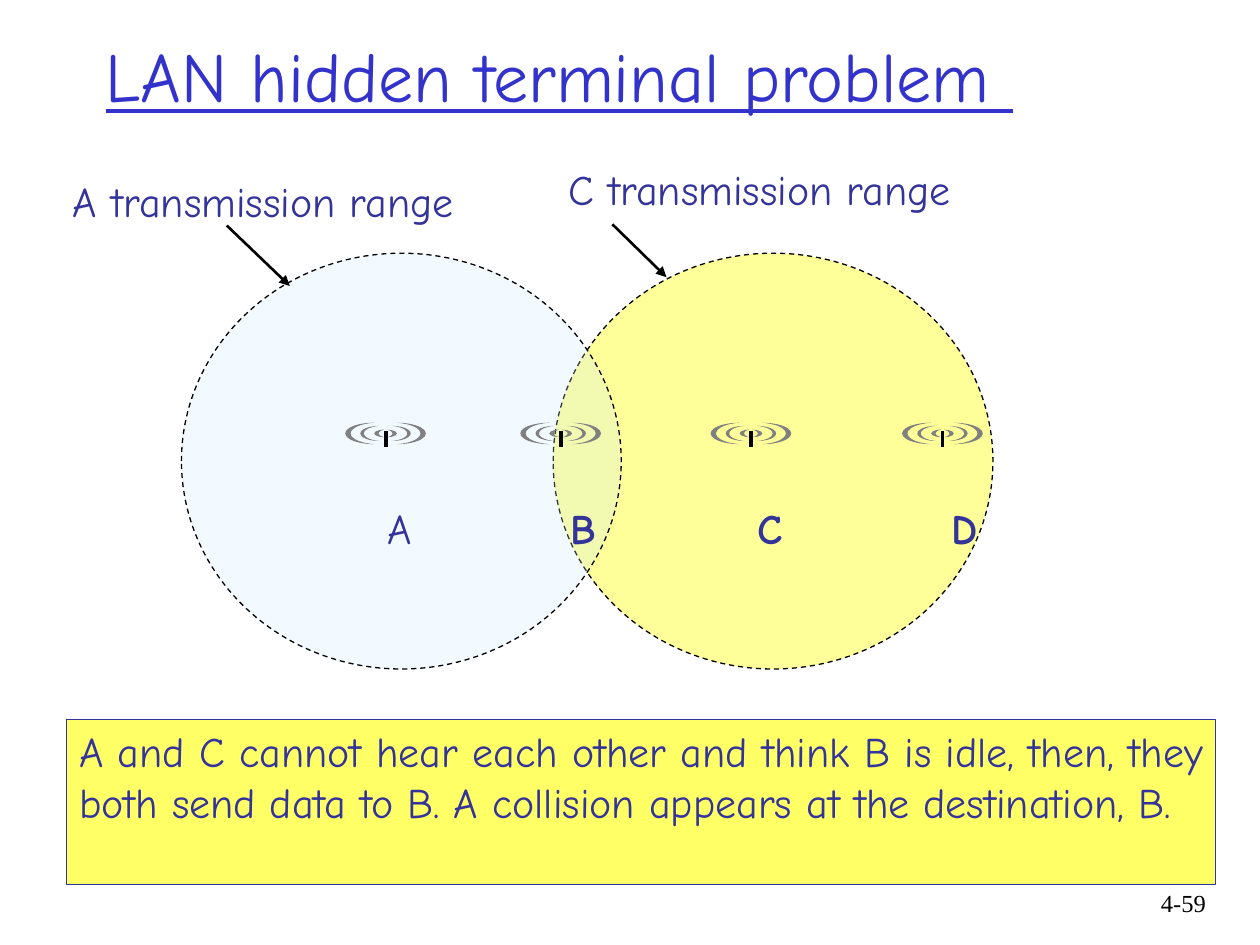
from pptx import Presentation
from pptx.dml.color import RGBColor
from pptx.enum.dml import MSO_LINE
from pptx.enum.shapes import MSO_CONNECTOR, MSO_SHAPE
from pptx.enum.text import MSO_ANCHOR, PP_ALIGN
from pptx.oxml.ns import qn
from pptx.util import Inches, Pt
from lxml.etree import SubElement

BLACK = RGBColor(0x00, 0x00, 0x00)
GRAY = RGBColor(0x80, 0x80, 0x80)
TITLE_BLUE = RGBColor(0x33, 0x33, 0xCC)
TEXT_BLUE = RGBColor(0x33, 0x33, 0x99)
NOTE_YELLOW = RGBColor(0xFF, 0xFF, 0x66)
RANGE_YELLOW = RGBColor(0xFF, 0xFF, 0x99)
RANGE_BLUE = RGBColor(0xCC, 0xEC, 0xFF)


class SlideBuilder:
    body_font = {"name": "Comic Neue", "size": Pt(24)}
    waves = [(0.09, 0.23, 0.17, 0.184), (0.05, 0.15, 0.12, 0.183), (0.01, 0.08, 0.06, 0.419)]

    def __init__(self, slide):
        self.slide = slide

    def fill_text(self, shape, text, align, color=TEXT_BLUE, **font):
        paragraph = shape.text_frame.paragraphs[0]
        paragraph.alignment = align
        run = paragraph.add_run()
        run.text = text
        for key, value in (self.body_font | font).items():
            setattr(run.font, key, value)
        run.font.color.rgb = color

    def text(self, box, text, align=PP_ALIGN.LEFT, wrap=False,
             anchor=MSO_ANCHOR.TOP, **font):
        label = self.slide.shapes.add_textbox(*map(Inches, box))
        label.text_frame.word_wrap = wrap
        label.text_frame.vertical_anchor = anchor
        self.fill_text(label, text, align, **font)

    def shape(self, preset, box, fill, outline=None, dash=None, alpha=None):
        shape = self.slide.shapes.add_shape(preset, *map(Inches, box))
        shape.shadow.inherit = False
        shape.fill.solid()
        shape.fill.fore_color.rgb = fill
        if alpha is not None:
            color = shape._element.spPr.find(qn("a:solidFill"))[0]
            SubElement(color, qn("a:alpha")).set("val", str(alpha * 1000))
        if outline is None:
            shape.line.fill.background()
        else:
            shape.line.color.rgb = outline
            shape.line.width = Pt(0.75)
            shape.line.dash_style = dash
        return shape

    def range_circle(self, left, fill, alpha=None):
        self.shape(MSO_SHAPE.OVAL, (left, 2.01, 3.49, 3.3), fill, BLACK, MSO_LINE.DASH, alpha)

    def note(self, box, text):
        note = self.shape(MSO_SHAPE.RECTANGLE, box, NOTE_YELLOW, TEXT_BLUE)
        note.text_frame.word_wrap = True
        note.text_frame.vertical_anchor = MSO_ANCHOR.TOP
        self.fill_text(note, text, PP_ALIGN.JUSTIFY)

    def line(self, start, end, width, arrow=False):
        line = self.slide.shapes.add_connector(
            MSO_CONNECTOR.STRAIGHT, *map(Inches, start + end))
        line.line.color.rgb = BLACK
        line.line.width = Pt(width)
        if arrow:
            outline = line._element.spPr.find(qn("a:ln"))
            SubElement(outline, qn("a:tailEnd")).set("type", "triangle")
        SubElement(line._element.spPr, qn("a:effectLst"))

    def antenna(self, center):
        self.line((center, 3.42), (center, 3.55), 2.25)
        for gap, width, height, thickness in self.waves:
            for left, rotation in ((center - gap - width, 0), (center + gap, 180)):
                wave = self.shape(
                    MSO_SHAPE.MOON, (left, 3.44 - height / 2, width, height), GRAY)
                wave.adjustments[0] = thickness
                wave.rotation = rotation


def main():
    deck = Presentation()
    deck.slide_width, deck.slide_height = Inches(10), Inches(7.5)
    builder = SlideBuilder(deck.slides.add_slide(deck.slide_layouts[6]))

    builder.text((0, -0.21, 8.88, 1.6), "LAN hidden terminal problem ", PP_ALIGN.CENTER,
                 wrap=True, anchor=MSO_ANCHOR.MIDDLE, color=TITLE_BLUE,
                 size=Pt(40), underline=True)
    builder.note((0.53, 5.71, 9.12, 1.31),
                 "A and C cannot hear each other and think B is idle, then, they both "
                 "send data to B. A collision appears at the destination, B.")

    builder.range_circle(4.39, RANGE_YELLOW)
    builder.range_circle(1.44, RANGE_BLUE, alpha=24)
    builder.text((0.35, 1.34, 3.48, 0.51), "A transmission range", PP_ALIGN.CENTER)
    builder.text((4.31, 1.25, 3.44, 0.51), "C transmission range", PP_ALIGN.CENTER)

    stations = [("A", 2.98, 0.45, 3.06), ("B", 4.43, 0.41, 4.45),
                ("C", 5.91, 0.41, 5.96), ("D", 7.45, 0.44, 7.48)]
    for station, left, width, center in stations:
        builder.text((left, 3.94, width, 0.51), station, bold=station != "A")
        builder.antenna(center)

    builder.line((1.8, 1.79), (2.3, 2.27), 1.5, arrow=True)
    builder.line((4.86, 1.78), (5.29, 2.2), 1.5, arrow=True)
    builder.text((8.93, 7, 0.74, 0.5), "4-59", PP_ALIGN.RIGHT, wrap=True,
                 color=BLACK, name="Times New Roman", size=Pt(14))
    deck.save("out.pptx")


if __name__ == "__main__":
    main()
